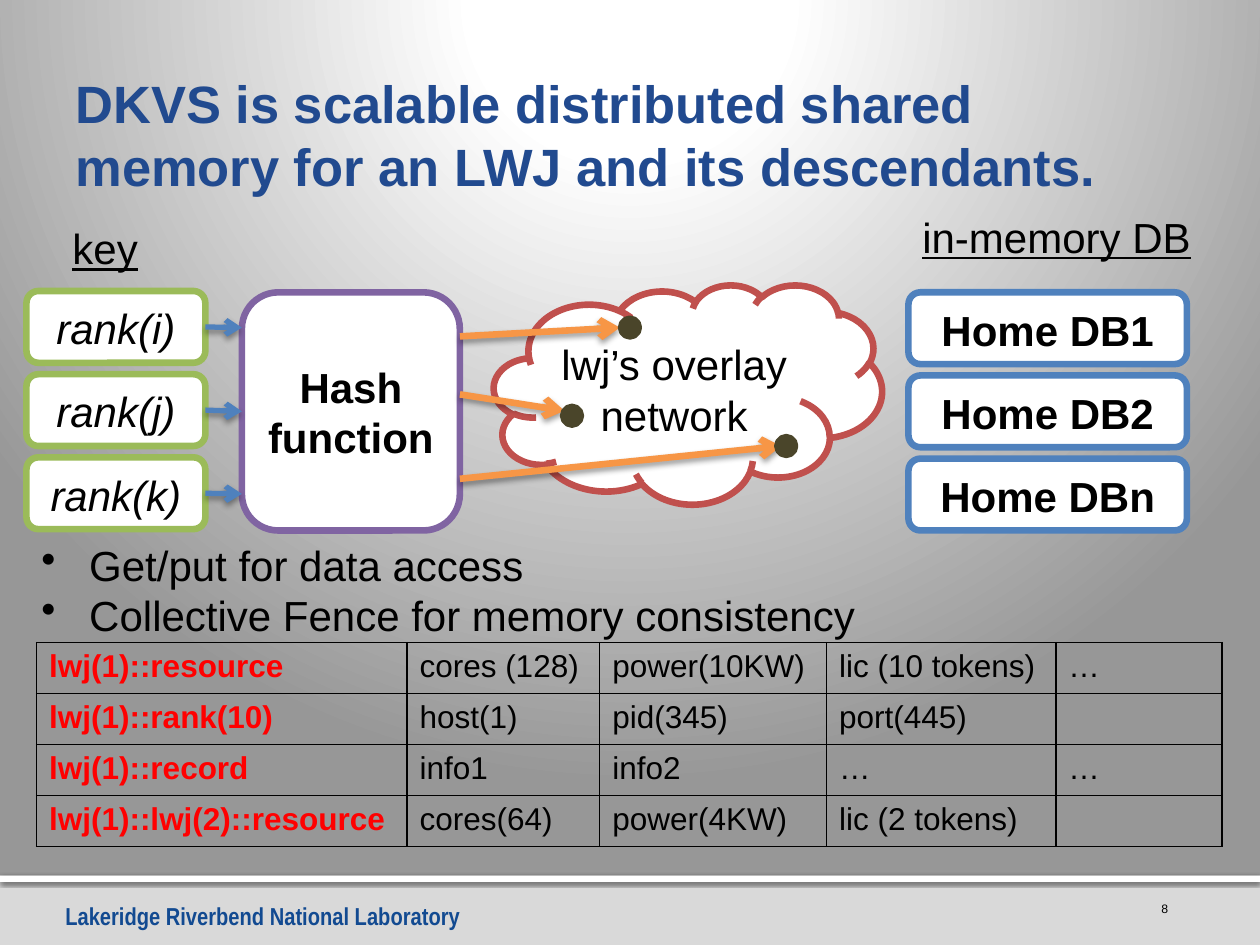
"""Build the DKVS distributed shared memory slide."""
from lxml import etree
from pptx import Presentation
from pptx.dml.color import RGBColor
from pptx.enum.shapes import MSO_CONNECTOR, MSO_SHAPE
from pptx.enum.text import MSO_ANCHOR, PP_ALIGN
from pptx.oxml import parse_xml
from pptx.oxml.ns import nsdecls, qn
from pptx.util import Inches, Pt

LEFT, CENTER, RIGHT = PP_ALIGN.LEFT, PP_ALIGN.CENTER, PP_ALIGN.RIGHT
TOP, MIDDLE, BOTTOM = MSO_ANCHOR.TOP, MSO_ANCHOR.MIDDLE, MSO_ANCHOR.BOTTOM
RECTANGLE, ROUNDED = MSO_SHAPE.RECTANGLE, MSO_SHAPE.ROUNDED_RECTANGLE
CLOUD, OVAL = MSO_SHAPE.CLOUD, MSO_SHAPE.OVAL
STRAIGHT = MSO_CONNECTOR.STRAIGHT

BLACK = RGBColor(0x00, 0x00, 0x00)
WHITE = RGBColor(0xFF, 0xFF, 0xFF)
GRAY = RGBColor(0xD9, 0xD9, 0xD9)
NAVY = RGBColor(0x21, 0x4A, 0x8F)
FOOTER_BLUE = RGBColor(0x12, 0x4A, 0x91)
BLUE = RGBColor(0x4F, 0x81, 0xBD)
GREEN = RGBColor(0x9B, 0xBB, 0x59)
PURPLE = RGBColor(0x80, 0x64, 0xA2)
ORANGE = RGBColor(0xF7, 0x96, 0x46)
CRIMSON = RGBColor(0xC0, 0x50, 0x4D)
RED = RGBColor(0xFF, 0x00, 0x00)
OLIVE = RGBColor(0x4A, 0x45, 0x2A)
OUTLINE = 3.78

TITLE = "DKVS is scalable distributed shared memory for an LWJ and its descendants."
FOOTER = "Lakeridge Riverbend National Laboratory"
KEYS = ["rank(i)", "rank(j)", "rank(k)"]
DATABASES = ["Home DB1", "Home DB2", "Home DBn"]
BULLETS = ["Get/put for data access", "Collective Fence for memory consistency"]
ROWS = [
    ["lwj(1)::resource", "cores (128)", "power(10KW)", "lic (10 tokens)", "…"],
    ["lwj(1)::rank(10)", "host(1)", "pid(345)", "port(445)", ""],
    ["lwj(1)::record", "info1", "info2", "…", "…"],
    ["lwj(1)::lwj(2)::resource", "cores(64)", "power(4KW)", "lic (2 tokens)", ""],
]
COLUMN_WIDTHS = [2.94, 1.53, 1.8, 1.82, 1.32]
ROW_HEIGHT = 0.405
BOX_HEIGHT, BOX_PITCH = 0.57, 0.66
DOT = 0.14
ROUTES = [
    ((3.65, 2.67), (4.92, 2.6), (4.93, 2.53)),
    ((3.65, 3.13), (4.48, 3.26), (4.47, 3.23)),
    ((3.65, 3.8), (6.2, 3.54), (6.17, 3.47)),
]
GRADIENT = [(0, "FFFFFF"), (20, "FFFFFF"), (100, "979797")]


def paint_background(page):
    stops = "".join(
        f'<a:gs pos="{position * 1000}"><a:srgbClr val="{color}"/></a:gs>'
        for position, color in GRADIENT)
    background = parse_xml(
        f'<p:bg {nsdecls("p", "a")}><p:bgPr><a:gradFill rotWithShape="1">'
        f'<a:gsLst>{stops}</a:gsLst><a:path path="circle">'
        '<a:fillToRect l="10000" t="-25000" r="10000" b="125000"/></a:path>'
        '</a:gradFill><a:effectLst/></p:bgPr></p:bg>')
    page.element.find(qn("p:cSld")).insert(0, background)


def add_shadow(shape, alpha, blur, distance):
    properties = shape._element.spPr
    for effects in properties.findall(qn("a:effectLst")):
        properties.remove(effects)
    properties.append(parse_xml(
        f'<a:effectLst {nsdecls("a")}><a:outerShdw blurRad="{Pt(blur)}" '
        f'dist="{Pt(distance)}" dir="5400000" rotWithShape="0"><a:srgbClr val="000000">'
        f'<a:alpha val="{alpha * 1000}"/></a:srgbClr></a:outerShdw></a:effectLst>'))


def write(box, lines, size=24, color=BLACK, align=CENTER, anchor=TOP, wrap=True,
          name="Arial", bold=False, italic=False, underline=False):
    frame = box.text_frame
    frame.word_wrap = wrap
    frame.vertical_anchor = anchor
    frame.text = "\n".join(lines)
    for paragraph in frame.paragraphs:
        paragraph.alignment = align
        font = paragraph.font
        font.name, font.size, font.color.rgb = name, Pt(size), color
        font.bold, font.italic, font.underline = bold, italic, underline


def add_text(page, place, lines, **style):
    box = page.shapes.add_textbox(*map(Inches, place))
    write(box, lines, **style)
    return box


def add_box(page, kind, place, fill, line=None):
    shape = page.shapes.add_shape(kind, *map(Inches, place))
    shape.shadow.inherit = False
    shape.fill.solid()
    shape.fill.fore_color.rgb = fill
    if line is None:
        shape.line.fill.background()
    else:
        shape.line.color.rgb = line
        shape.line.width = Pt(OUTLINE)
    return shape


def add_stack(page, left, top, width, labels, line, **style):
    boxes = []
    for index, label in enumerate(labels):
        place = (left, top + index * BOX_PITCH, width, BOX_HEIGHT)
        box = add_box(page, ROUNDED, place, WHITE, line)
        write(box, [label], anchor=BOTTOM, **style)
        boxes.append(box)
    return boxes


def add_arrow(page, start, end, color, width):
    arrow = page.shapes.add_connector(STRAIGHT, *map(Inches, (*start, *end)))
    arrow.line.color.rgb = color
    arrow.line.width = Pt(width)
    etree.SubElement(arrow.line._get_or_add_ln(), qn("a:tailEnd"), type="arrow")
    add_shadow(arrow, 38, 3.5, 2)
    return arrow


def add_bullets(page, place, lines):
    box = add_text(page, place, lines, align=LEFT)
    for paragraph in box.text_frame.paragraphs:
        properties = paragraph._p.get_or_add_pPr()
        properties.set("marL", str(Inches(0.38)))
        properties.set("indent", str(-Inches(0.38)))
        bullet = parse_xml(f'<a:buChar {nsdecls("a")} char="•"/>')
        properties.insert_element_before(bullet, "a:tabLst", "a:defRPr", "a:extLst")


def add_border(cell):
    properties = cell._tc.get_or_add_tcPr()
    for index, side in enumerate(("lnL", "lnR", "lnT", "lnB")):
        properties.insert(index, parse_xml(
            f'<a:{side} {nsdecls("a")} w="{Pt(1)}"><a:solidFill>'
            f'<a:srgbClr val="{BLACK}"/></a:solidFill></a:{side}>'))


def add_records(page, left, top):
    size = sum(COLUMN_WIDTHS), ROW_HEIGHT * len(ROWS)
    table = page.shapes.add_table(
        len(ROWS), len(COLUMN_WIDTHS), *map(Inches, (left, top, *size))).table
    table.first_row = table.horz_banding = False
    for column, width in zip(table.columns, COLUMN_WIDTHS):
        column.width = Inches(width)
    for row, values in enumerate(ROWS):
        for column, value in enumerate(values):
            cell = table.cell(row, column)
            is_key = column == 0
            write(cell, [value], size=18, color=RED if is_key else BLACK,
                  align=LEFT, bold=is_key)
            cell.fill.background()
            add_border(cell)


def main():
    deck = Presentation()
    deck.slide_width, deck.slide_height = Inches(10), Inches(7.5)
    page = deck.slides.add_slide(deck.slide_layouts[6])
    paint_background(page)

    add_shadow(add_box(page, RECTANGLE, (0, 6.95, 10, 0.55), GRAY), 38, 3.1, 2)
    add_shadow(add_box(page, RECTANGLE, (0, 6.95, 10, 0.05), WHITE), 60, 2.5, 0.8)
    add_text(page, (0.42, 7.1, 3.34, 0.34), [FOOTER], size=14, color=FOOTER_BLUE,
             align=LEFT, name="Arial Narrow", bold=True)
    add_text(page, (8.98, 7.1, 0.39, 0.17), ["8"], size=7, align=RIGHT)
    add_text(page, (0.5, 0.24, 9, 1.37), [TITLE], size=30, color=NAVY,
             align=LEFT, anchor=BOTTOM, bold=True)
    add_records(page, 0.29, 5.1)

    cloud = add_box(page, CLOUD, (3.92, 2.26, 3.08, 1.74), WHITE, CRIMSON)
    write(cloud, ["lwj’s overlay network"], anchor=MIDDLE)
    add_text(page, (7.21, 1.63, 2.35, 0.5), ["in-memory DB"], wrap=False, underline=True)
    add_text(page, (0.47, 1.72, 0.73, 0.5), ["key"], wrap=False, underline=True)
    add_stack(page, 7.21, 2.32, 2.21, DATABASES, BLUE, bold=True)
    keys = add_stack(page, 0.21, 2.31, 1.42, KEYS, GREEN, italic=True)
    hash_box = add_box(page, ROUNDED, (1.92, 2.32, 1.73, 1.89), WHITE, PURPLE)
    write(hash_box, ["Hash function"], anchor=MIDDLE, bold=True)

    for index, key in enumerate(keys):
        middle = 2.6 + index * BOX_PITCH
        arrow = add_arrow(page, (1.63, middle), (1.92, middle), BLUE, 3)
        arrow.begin_connect(key, 3)
        if index == 1:
            arrow.end_connect(hash_box, 1)
    for start, end, corner in ROUTES:
        add_arrow(page, start, end, ORANGE, OUTLINE)
        add_box(page, OVAL, (*corner, DOT, DOT), OLIVE, OLIVE)
    add_bullets(page, (0.23, 4.23, 7.59, 1.31), BULLETS)
    deck.save("out.pptx")


if __name__ == "__main__":
    main()
